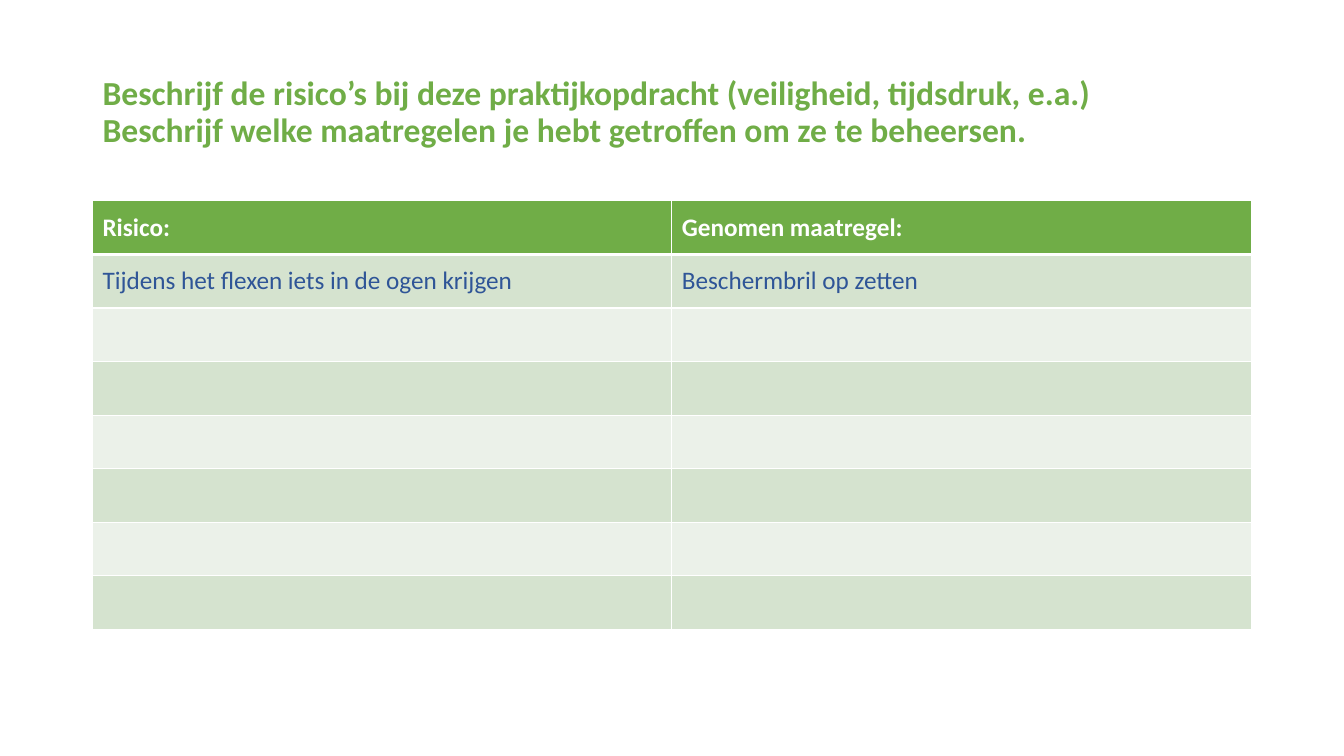
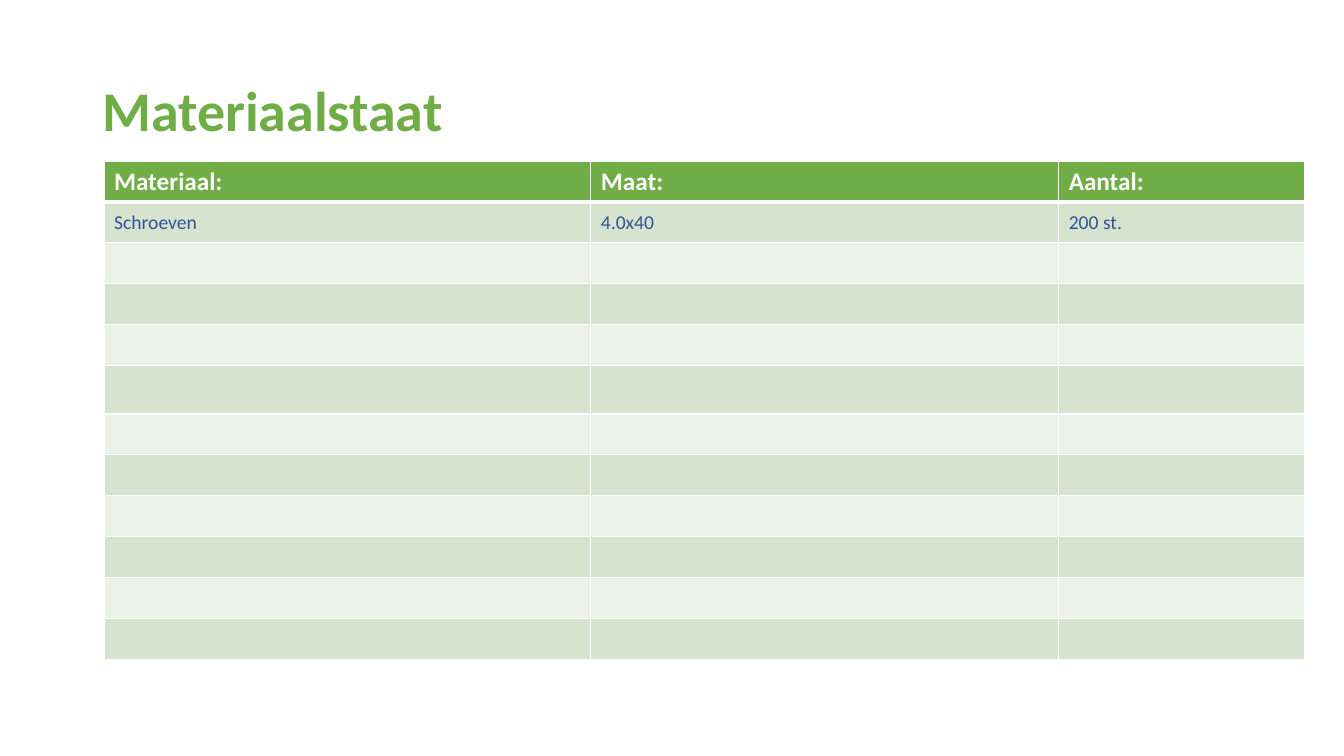
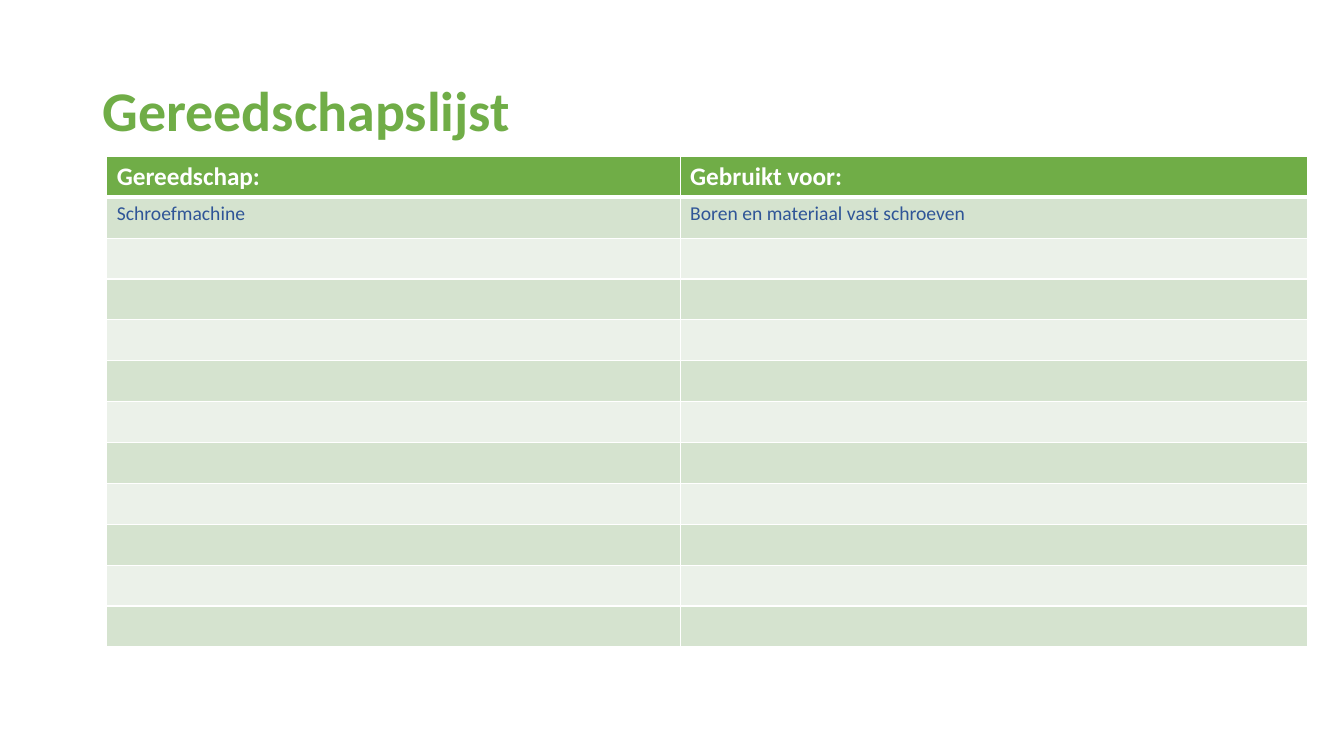
from lxml.etree import SubElement
from pptx import Presentation
from pptx.dml.color import RGBColor
from pptx.enum.text import MSO_ANCHOR, MSO_AUTO_SIZE, PP_ALIGN
from pptx.oxml.ns import qn
from pptx.util import Cm, Pt

FONT = "Calibri"
GREEN, BLUE, WHITE = "70AD47", "2F5597", "FFFFFF"
BANDS = ("D5E3CF", "EBF1E9")


def paint(target, color):
    target.rgb = RGBColor.from_string(color)


def style(par, size, color, bold):
    font = par.font
    font.name, font.size, font.bold = FONT, Pt(size), bold
    paint(font.color, color)


def border(cell, side, width):
    """Draw one white edge; side is L, R, T or B. Call before filling the cell."""
    props = cell._tc.get_or_add_tcPr()
    line = SubElement(props, qn("a:ln" + side), w=str(Pt(width)))
    fill = SubElement(line, qn("a:solidFill"))
    SubElement(fill, qn("a:srgbClr"), val=WHITE)


class Deck:
    def __init__(self):
        self.prs = Presentation()
        self.prs.slide_width, self.prs.slide_height = Cm(33.87), Cm(19.05)
        self.slide = None

    def page(self, title, size=40):
        self.slide = self.prs.slides.add_slide(self.prs.slide_layouts[5])
        shape = self.slide.shapes.title
        shape.left, shape.top = Cm(2.33), Cm(1.01)
        shape.width, shape.height = Cm(29.21), Cm(3.68)
        frame = shape.text_frame
        frame.text = title
        frame.word_wrap = True
        frame.auto_size = MSO_AUTO_SIZE.NONE
        frame.vertical_anchor = MSO_ANCHOR.MIDDLE
        par = frame.paragraphs[0]
        par.alignment, par.line_spacing = PP_ALIGN.LEFT, 0.9
        style(par, size, GREEN, True)

    def table(self, left, top, widths, heights, texts, size=14,
              anchor=MSO_ANCHOR.MIDDLE):
        """Fill the first rows with texts; the remaining rows stay empty."""
        grid = self.slide.shapes.add_table(
            len(heights), len(widths), Cm(left), Cm(top),
            Cm(sum(widths)), Cm(sum(heights))).table
        for col, width in zip(grid.columns, widths):
            col.width = Cm(width)
        for num, (row, height) in enumerate(zip(grid.rows, heights)):
            row.height = Cm(height)
            for cell in row.cells:
                self.cell(cell, num, anchor)
        for num, line in enumerate(texts):
            for cell, text in zip(grid.rows[num].cells, line):
                cell.text = text
                look = (size, BLUE, False) if num else (18, WHITE, True)
                style(cell.text_frame.paragraphs[0], *look)

    def cell(self, cell, num, anchor):
        edges = {"L": 1, "R": 1, "T": 3 if num == 1 else 1,
                 "B": 1 if num else 3}
        for side, width in edges.items():
            border(cell, side, width)
        cell.fill.solid()
        paint(cell.fill.fore_color, BANDS[(num - 1) % 2] if num else GREEN)
        cell.vertical_anchor = anchor


def main():
    deck = Deck()

    deck.page("Beschrijf de risico’s bij deze praktijkopdracht "
              "(veiligheid, tijdsdruk, e.a.)\v"
              "Beschrijf welke maatregelen je hebt getroffen "
              "om ze te beheersen.", 24)
    deck.table(2.33, 5.06, [14.6] * 2, [1.35] * 8, [
        ("Risico:", "Genomen maatregel:"),
        ("Tijdens het flexen iets in de ogen krijgen",
         "Beschermbril op zetten"),
    ], size=18)

    deck.page("Materiaalstaat")
    deck.table(2.62, 4.06, [12.27, 11.79, 6.2],
               [1.03] * 5 + [1.22] + [1.03] * 6, [
        ("Materiaal:", "Maat:", "Aantal:"),
        ("Schroeven", "4.0x40", "200 st."),
    ])

    deck.page("Gereedschapslijst")
    deck.table(2.69, 3.94, [14.45, 15.8], [1.03] * 12, [
        ("Gereedschap:", "Gebruikt voor:"),
        ("Schroefmachine", "Boren en materiaal vast schroeven"),
    ], anchor=MSO_ANCHOR.TOP)

    deck.prs.save("out.pptx")


if __name__ == "__main__":
    main()
